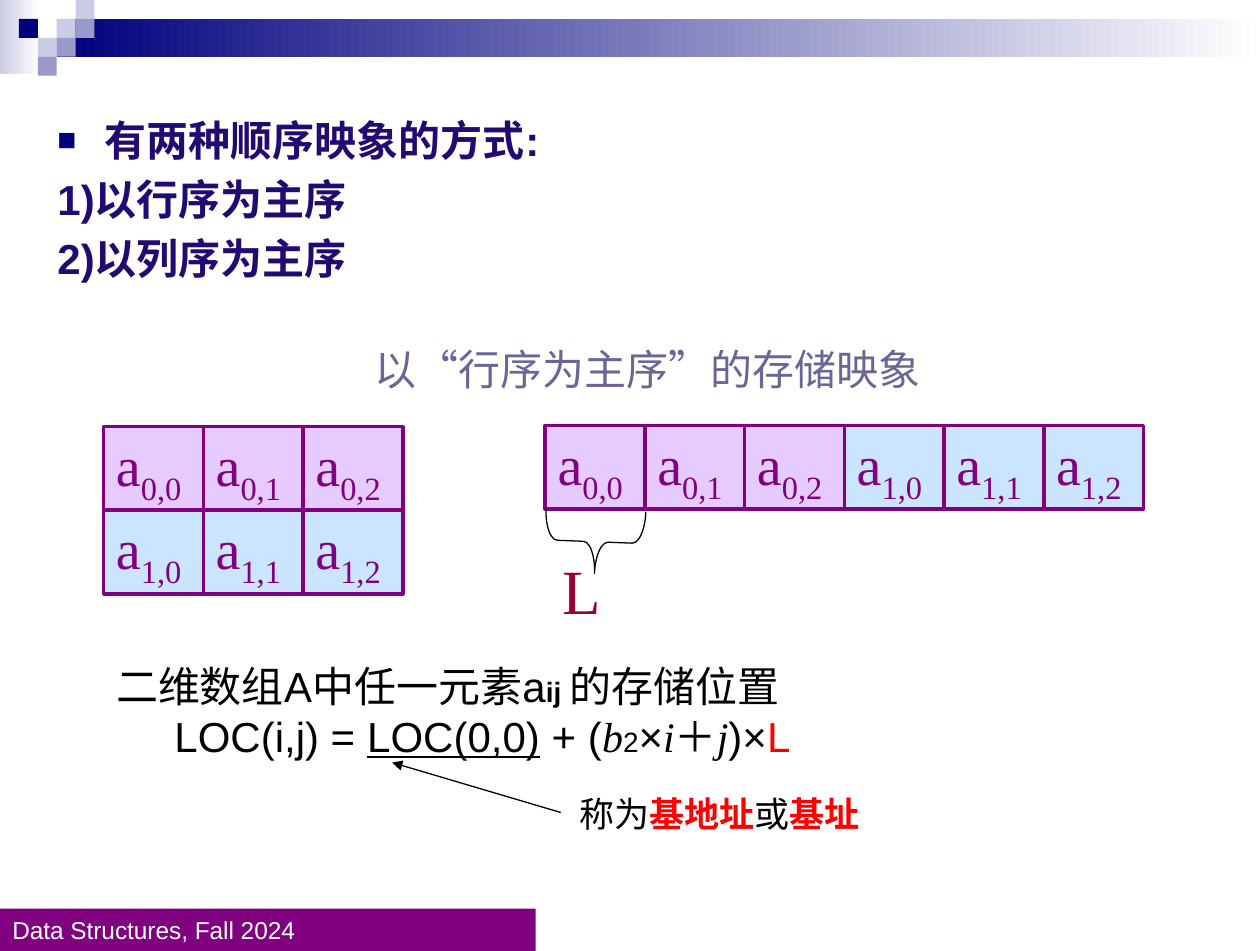
from lxml import etree
from pptx import Presentation
from pptx.dml.color import RGBColor
from pptx.enum.shapes import MSO_CONNECTOR, MSO_SHAPE
from pptx.enum.text import MSO_ANCHOR, PP_ALIGN
from pptx.oxml.ns import qn
from pptx.util import Pt

RECT, BRACE = MSO_SHAPE.RECTANGLE, MSO_SHAPE.LEFT_BRACE
STRAIGHT = MSO_CONNECTOR.STRAIGHT
TOP, MIDDLE = MSO_ANCHOR.TOP, MSO_ANCHOR.MIDDLE
LEFT = PP_ALIGN.LEFT
SANS, SERIF = "Arial", "Times New Roman"
NAVY, LIGHT, MID = "00007D", "CCCCE6", "9999CC"
PURPLE, RED, BLACK, WHITE = "800080", "FF0000", "000000", "FFFFFF"
ROW_FILLS = ("CC99FF", "99CCFF")
SQUARES = [(3, 1, LIGHT), (4, 0, LIGHT), (4, 1, MID), (2, 2, LIGHT),
           (1, 1, NAVY), (3, 2, MID), (2, 3, MID)]
CELL_W, CELL_H = 57.5, 48.2


def rgb(value):
    return RGBColor.from_string(value)


def add_xml(parent, tag, **attrs):
    return etree.SubElement(parent, qn(tag), attrs)


def set_font(font, size, name, color, bold=False):
    font.size, font.name, font.bold = Pt(size), name, bold
    font.color.rgb = rgb(color)


def add_run(p, text, size=24.2, name=SANS, color=BLACK, bold=False,
            italic=False, underline=False):
    r = p.add_run()
    r.text = text
    set_font(r.font, size, name, color, bold)
    r.font.italic, r.font.underline = italic, underline


def add_box(slide, x, y, w, h, fill=None, kind=RECT):
    sp = slide.shapes.add_shape(kind, Pt(x), Pt(y), Pt(w), Pt(h))
    sp.shadow.inherit = False
    if fill:
        sp.fill.solid()
        sp.fill.fore_color.rgb = rgb(fill)
    else:
        sp.fill.background()
    sp.line.fill.background()
    return sp


def add_gradient(slide, x, y, w, h, start):
    fill = add_box(slide, x, y, w, h).fill
    fill.gradient()
    fill.gradient_angle = 0
    for stop, color, position in zip(fill.gradient_stops, (start, WHITE), (0, 1)):
        stop.color.rgb = rgb(color)
        stop.position = position


def add_text(slide, x, y, w, h, wrap=True):
    tf = slide.shapes.add_textbox(Pt(x), Pt(y), Pt(w), Pt(h)).text_frame
    tf.word_wrap = wrap
    return tf


def add_header(slide, x, y, w):
    step = 10.9
    add_gradient(slide, x, y, 23, 42.5, LIGHT)
    add_gradient(slide, x + 33, y + step, w - 33, 22, NAVY)
    for col, row, color in SQUARES:
        add_box(slide, x + col * step, y + row * step, step, step, color)


def add_footer(slide, x, y, w, h):
    sp = add_box(slide, x, y, w, h, PURPLE)
    tf = sp.text_frame
    tf.vertical_anchor = MIDDLE
    p = tf.paragraphs[0]
    p.text = "Data Structures, Fall 2024"
    p.alignment = LEFT
    set_font(p.font, 14.1, SANS, WHITE)


def add_methods(slide, x, y, w, h):
    body = slide.placeholders[1]
    body.left, body.top, body.width, body.height = Pt(x), Pt(y), Pt(w), Pt(h)
    tf = body.text_frame
    tf.vertical_anchor = TOP
    lines = ["有两种顺序映象的方式:", "1)以行序为主序", "2)以列序为主序"]
    for i, line in enumerate(lines):
        p = tf.paragraphs[0] if i == 0 else tf.add_paragraph()
        p.text = line
        pPr = p._p.get_or_add_pPr()
        pPr.set("marL", str(Pt(27.4)))
        pPr.set("indent", str(Pt(-27.4)))
        if i == 0:
            add_xml(add_xml(pPr, "a:buClr"), "a:srgbClr", val=NAVY)
            add_xml(pPr, "a:buSzPct", val="75000")
            add_xml(pPr, "a:buFont", typeface=SANS)
            add_xml(pPr, "a:buChar", char="■")
        else:
            add_xml(pPr, "a:buNone")
        p.space_before = Pt(4.8 if i else 0)
        set_font(p.font, 24.2, SANS, "210B73", True)


def add_cell(slide, x, y, row, col):
    sp = add_box(slide, x, y, CELL_W, CELL_H, ROW_FILLS[row])
    add_xml(sp.fill._xPr.find(qn("a:solidFill"))[0], "a:alpha", val="50000")
    sp.line.color.rgb = rgb(PURPLE)
    sp.line.width = Pt(2)
    tf = sp.text_frame
    tf.word_wrap = False
    tf.vertical_anchor = MIDDLE
    p = tf.paragraphs[0]
    p.alignment = LEFT
    set_font(p.font, 32.3, SERIF, PURPLE)
    p.add_run().text = "a"
    r = p.add_run()
    r.text = f"{row},{col}"
    r.font._element.set("baseline", "-25000")


def add_matrix(slide, x, y):
    for row in range(2):
        for col in range(3):
            add_cell(slide, x + col * CELL_W, y + row * CELL_H, row, col)


def add_storage(slide, x, y):
    for i in range(6):
        add_cell(slide, x + i * CELL_W, y, *divmod(i, 3))
    brace = add_box(slide, x + 10.2, y + 38.2, 36.7, 57.6, kind=BRACE)
    brace.rotation = 272.2
    brace.adjustments[0], brace.adjustments[1] = 0.195, 0.51
    brace.line.color.rgb = rgb(BLACK)
    brace.line.width = Pt(0.75)
    p = add_text(slide, x + 3, y + 69, 46.8, 51.8).paragraphs[0]
    p.text = "L"
    set_font(p.font, 36.3, SERIF, "990033")


def add_caption(slide, x, y, w, h):
    p = add_text(slide, x, y, w, h, False).paragraphs[0]
    p.text = "以“行序为主序”的存储映象"
    set_font(p.font, 24.2, SERIF, "666699")


def add_formula(slide, x, y, w, h):
    tf = add_text(slide, x, y, w, h)
    p = tf.paragraphs[0]
    add_run(p, "二维数组A中任一元素a")
    add_run(p, "ij ", 16.1, bold=True)
    add_run(p, "的存储位置")
    p = tf.add_paragraph()
    p._p.get_or_add_pPr().set("marL", str(Pt(33.7)))
    add_run(p, "LOC(i,j) = ")
    add_run(p, "LOC(0,0)", underline=True)
    add_run(p, " + (")
    add_run(p, "b", name=SERIF, italic=True)
    add_run(p, "2", 16.1)
    add_run(p, "×")
    add_run(p, "i", name=SERIF, italic=True)
    add_run(p, "＋")
    add_run(p, "j", name=SERIF, italic=True)
    add_run(p, ")×")
    add_run(p, "L", color=RED)


def add_base_note(slide, x, y, w, h):
    p = add_text(slide, x, y, w, h, False).paragraphs[0]
    for text, key in (("称为", False), ("基地址", True), ("或", False), ("基址", True)):
        add_run(p, text, 20.2, SERIF, RED if key else BLACK, key)
    arrow = slide.shapes.add_connector(
        STRAIGHT, Pt(x - 3.6), Pt(y + 15.1), Pt(x - 100.8), Pt(y - 13.7))
    arrow.line.color.rgb = rgb(BLACK)
    arrow.line.width = Pt(0.75)
    add_xml(arrow.line._get_or_add_ln(), "a:tailEnd", type="triangle")
    add_xml(arrow._element.spPr, "a:effectLst")


def main():
    prs = Presentation()
    prs.slide_width, prs.slide_height = Pt(726.5), Pt(548.6)
    slide = prs.slides.add_slide(prs.slide_layouts[1])
    title = slide.shapes.title._element
    title.getparent().remove(title)
    add_header(slide, 0, 0, 726.5)
    add_footer(slide, 0, 524.2, 308.9, 24.4)
    add_methods(slide, 25.9, 62.6, 653.8, 131.8)
    add_matrix(slide, 59.8, 246.2)
    add_storage(slide, 314.4, 245.5)
    add_caption(slide, 208.8, 194.4, 335.5, 36.7)
    add_formula(slide, 59.8, 377.3, 514.8, 66.2)
    add_base_note(slide, 326.9, 453.6, 179.3, 31.7)
    prs.save("out.pptx")


if __name__ == "__main__":
    main()
